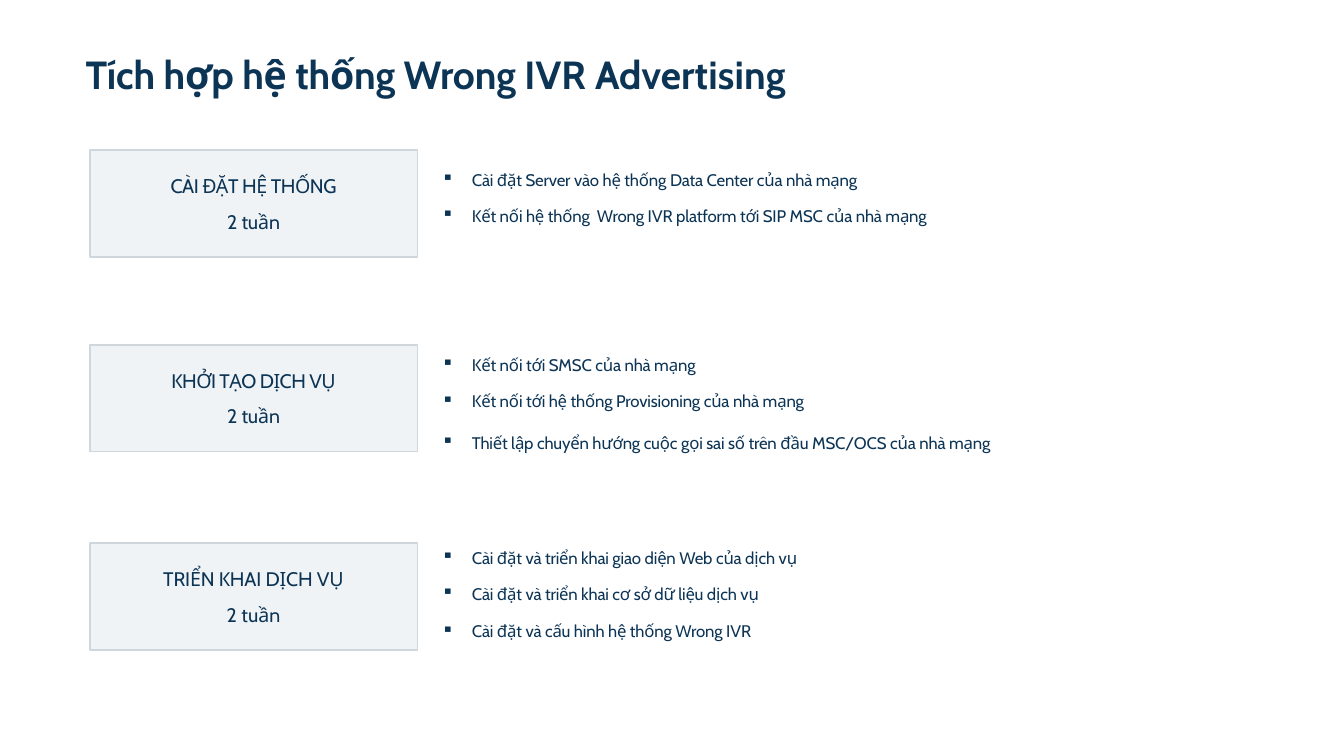
from lxml import etree
from pptx import Presentation
from pptx.dml.color import RGBColor
from pptx.enum.shapes import MSO_SHAPE
from pptx.enum.text import MSO_ANCHOR, MSO_AUTO_SIZE, PP_ALIGN
from pptx.oxml.ns import qn
from pptx.util import Inches, Pt

RECTANGLE = MSO_SHAPE.RECTANGLE
MIDDLE, TOP = MSO_ANCHOR.MIDDLE, MSO_ANCHOR.TOP
CENTER, LEFT = PP_ALIGN.CENTER, PP_ALIGN.LEFT
GROW = MSO_AUTO_SIZE.SHAPE_TO_FIT_TEXT

FONT = "Cabin"
NAVY, PALE, EDGE = "0C3455", "F0F3F5", "CFD7DC"

TITLE = [("Tích hợp hệ thống Wrong ", -0.1), ("IVR Advertising", 0.1)]
PHASES = [
    {"name": ("CÀI ĐẶT HỆ THỐNG", -0.3), "duration": ("2 tuần", -0.1), "top": 1.49,
     "tasks": [(1.67, "Cài đặt Server vào hệ thống Data Center của nhà mạng"),
               (2.03, "Kết nối hệ thống  Wrong IVR platform tới SIP MSC của nhà mạng")]},
    {"name": ("KHỞI TẠO DỊCH VỤ", -0.4), "duration": ("2 tuần", -0.1), "top": 3.42,
     "tasks": [(3.51, "Kết nối tới SMSC của nhà mạng"),
               (3.87, "Kết nối tới hệ thống Provisioning của nhà mạng"),
               (4.28, "Thiết lập chuyển hướng cuộc gọi sai số trên đầu MSC/OCS của nhà mạng")]},
    {"name": ("TRIỂN KHAI DỊCH VỤ", -0.1), "duration": ("2 tuần", 0), "top": 5.39,
     "tasks": [(5.42, "Cài đặt và triển khai giao diện Web của dịch vụ"),
               (5.78, "Cài đặt và triển khai cơ sở dữ liệu dịch vụ"),
               (6.15, "Cài đặt và cấu hình hệ thống Wrong IVR")]},
]

PHASE_LEFT, PHASE_WIDTH, PHASE_HEIGHT = 0.89, 3.25, 1.06
TASK_LEFT, TASK_WIDTH, TASK_HEIGHT = 4.37, 6.88, 0.22
TASK_MARGIN, TASK_INDENT = 0.31, -0.3


def color(hex_value):
    return RGBColor.from_string(hex_value)


def apply(target, values):
    for key, value in values.items():
        setattr(target, key, value)


def prepare_frame(frame, top, bottom, anchor):
    apply(frame, {"word_wrap": True, "auto_size": GROW, "vertical_anchor": anchor,
                  "margin_left": 0, "margin_right": 0,
                  "margin_top": Inches(top), "margin_bottom": Inches(bottom)})


def write(paragraph, runs, size, bold=False, align=LEFT, before=0):
    apply(paragraph, {"alignment": align, "space_before": Pt(before)})
    for text, spacing in runs:
        run = paragraph.add_run()
        run.text = text
        apply(run.font, {"name": FONT, "size": Pt(size), "bold": bold})
        run.font.color.rgb = color(NAVY)
        run.font._element.set("spc", str(round(spacing * 100)))


def add_bullet(paragraph):
    properties = paragraph._p.get_or_add_pPr()
    properties.set("marL", str(Inches(TASK_MARGIN)))
    properties.set("indent", str(Inches(TASK_INDENT)))
    bullet_color = etree.SubElement(properties, qn("a:buClr"))
    etree.SubElement(bullet_color, qn("a:srgbClr"), val=NAVY)
    etree.SubElement(properties, qn("a:buChar"), char="▪")


def add_text(slide, left, top, width, height):
    frame = slide.shapes.add_textbox(
        Inches(left), Inches(top), Inches(width), Inches(height)).text_frame
    prepare_frame(frame, 0.01, 0, TOP)
    return frame.paragraphs[0]


def add_phase(slide, phase):
    box = slide.shapes.add_shape(RECTANGLE, Inches(PHASE_LEFT), Inches(phase["top"]),
                                 Inches(PHASE_WIDTH), Inches(PHASE_HEIGHT))
    box.shadow.inherit = False
    box.fill.solid()
    box.fill.fore_color.rgb = color(PALE)
    box.line.color.rgb = color(EDGE)
    box.line.width = Pt(1.2)
    frame = box.text_frame
    prepare_frame(frame, 0.24, 0.24, MIDDLE)
    write(frame.paragraphs[0], [phase["name"]], 14, align=CENTER)
    write(frame.add_paragraph(), [phase["duration"]], 14, align=CENTER, before=8.4)
    for top, task in phase["tasks"]:
        line = add_text(slide, TASK_LEFT, top, TASK_WIDTH, TASK_HEIGHT)
        write(line, [(task, -0.1)], 12, before=1)
        add_bullet(line)


def main():
    deck = Presentation()
    apply(deck, {"slide_width": Inches(13.33), "slide_height": Inches(7.5)})
    slide = deck.slides.add_slide(deck.slide_layouts[6])
    heading = add_text(slide, 0.85, 0.49, 9.48, 0.49)
    write(heading, TITLE, 28, bold=True, before=1.1)
    for phase in PHASES:
        add_phase(slide, phase)
    deck.save("out.pptx")


if __name__ == "__main__":
    main()
